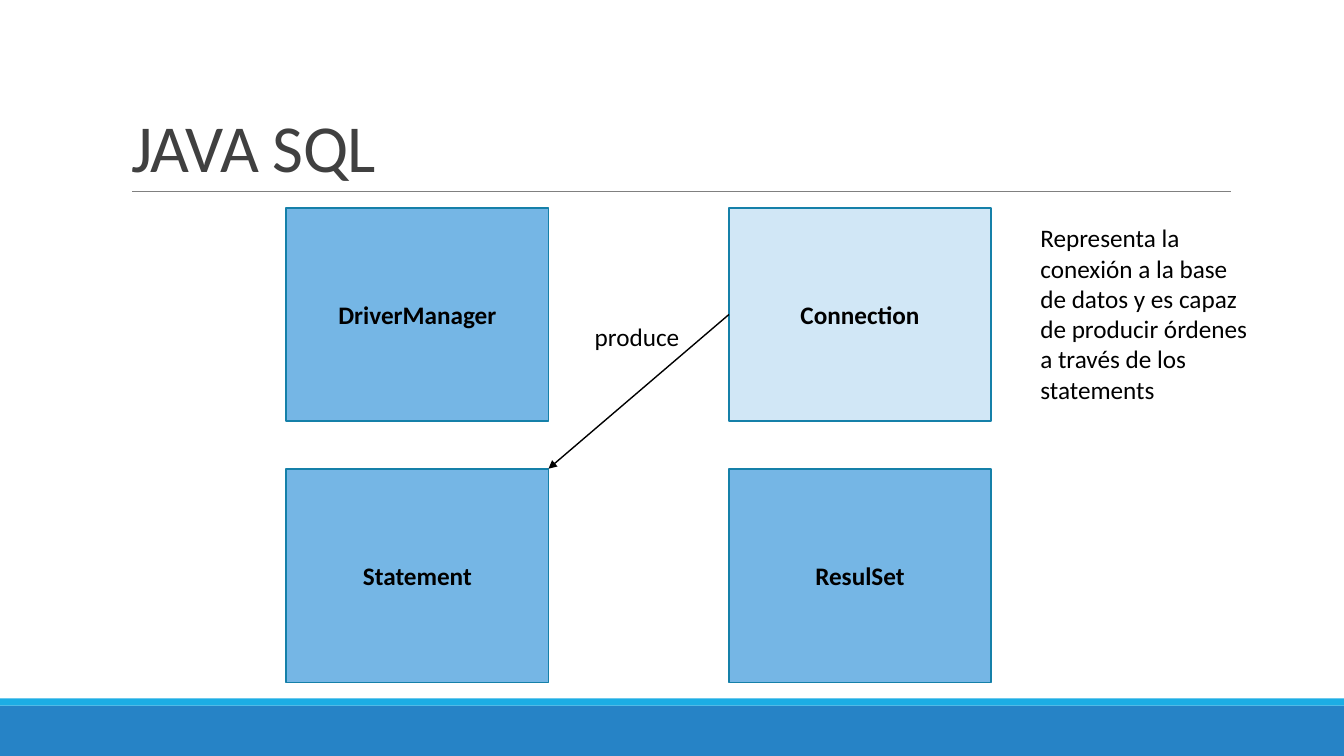
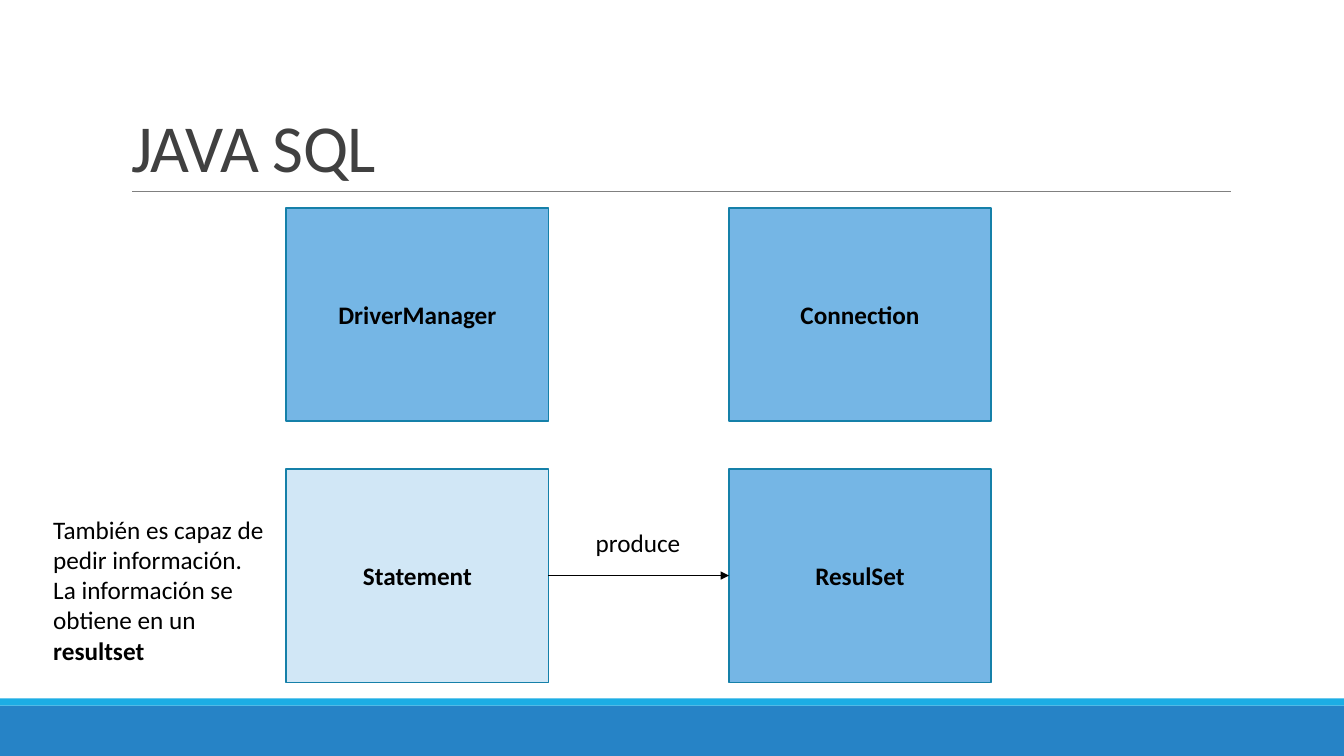
"""Builds two slides on the classes of Java SQL."""
from pptx import Presentation
from pptx.dml.color import RGBColor
from pptx.enum import shapes, text
from pptx.oxml import ns, xmlchemy
from pptx.util import Inches, Pt

BLACK = RGBColor(0x00, 0x00, 0x00)
TITLE_GREY = RGBColor(0x40, 0x40, 0x40)
RULE_GREY = RGBColor(0x80, 0x80, 0x80)
BAND_BLUE = RGBColor(0x26, 0x83, 0xC6)
STRIPE_BLUE = RGBColor(0x1C, 0xAD, 0xE4)
BOX_BLUE = RGBColor(0x75, 0xB6, 0xE5)
ACTIVE_BLUE = RGBColor(0xD1, 0xE7, 0xF6)
EDGE_BLUE = RGBColor(0x15, 0x80, 0xA9)

LEFT, RIGHT = 2.84, 7.23
TOP, BOTTOM = 2.06, 4.65
BOX_WIDTH, BOX_HEIGHT = 2.6, 2.12
CLASSES = {
    "DriverManager": (LEFT, TOP),
    "Connection": (RIGHT, TOP),
    "Statement": (LEFT, BOTTOM),
    "ResulSet": (RIGHT, BOTTOM),
}


class SlideBuilder:
    """Holds the style and the current slide."""

    font = "Calibri"
    size = 18

    def __init__(self):
        self.deck = Presentation()
        self.deck.slide_width = Inches(13.33)
        self.deck.slide_height = Inches(7.5)
        self.slide = None

    def add_span(self, para, words, bold=False, size=size, color=BLACK):
        span = para.add_run()
        span.text = words
        span.font.name = self.font
        span.font.size = Pt(size)
        span.font.bold = bold
        span.font.color.rgb = color
        return span

    def add_page(self, title):
        self.slide = self.deck.slides.add_slide(self.deck.slide_layouts[5])
        self.add_rectangle(0, 7, 13.33, 0.5, BAND_BLUE)
        self.add_rectangle(0, 6.93, 13.33, 0.07, STRIPE_BLUE)
        self.add_line((1.31, 1.9), (12.21, 1.9), RULE_GREY, 0.5)
        self.add_title(title)

    def add_title(self, words):
        box = self.slide.shapes.title
        box.left, box.top = Inches(1.2), Inches(0.31)
        box.width, box.height = Inches(11), Inches(1.59)
        frame = box.text_frame
        frame.auto_size = text.MSO_AUTO_SIZE.NONE
        frame.vertical_anchor = text.MSO_ANCHOR.BOTTOM
        para = frame.paragraphs[0]
        para.alignment = text.PP_ALIGN.LEFT
        para.line_spacing = 0.85
        span = self.add_span(para, words, size=48, color=TITLE_GREY)
        span.font._element.set("spc", "-50")

    def add_rectangle(self, left, top, width, height, fill):
        box = self.slide.shapes.add_shape(
            shapes.MSO_SHAPE.RECTANGLE,
            Inches(left), Inches(top), Inches(width), Inches(height))
        box.shadow.inherit = False
        box.fill.solid()
        box.fill.fore_color.rgb = fill
        box.line.fill.background()
        return box

    def add_class_box(self, name, left, top, fill):
        box = self.add_rectangle(left, top, BOX_WIDTH, BOX_HEIGHT, fill)
        box.line.color.rgb = EDGE_BLUE
        box.line.width = Pt(1.25)
        box.text_frame.vertical_anchor = text.MSO_ANCHOR.MIDDLE
        para = box.text_frame.paragraphs[0]
        para.alignment = text.PP_ALIGN.CENTER
        self.add_span(para, name, bold=True)

    def add_class_grid(self, active):
        for name, (left, top) in CLASSES.items():
            fill = ACTIVE_BLUE if name == active else BOX_BLUE
            self.add_class_box(name, left, top, fill)

    def add_text(self, left, top, width, height, words, bold_end="", wrap=True):
        box = self.slide.shapes.add_textbox(
            Inches(left), Inches(top), Inches(width), Inches(height))
        frame = box.text_frame
        frame.word_wrap = wrap
        frame.auto_size = text.MSO_AUTO_SIZE.SHAPE_TO_FIT_TEXT
        para = frame.paragraphs[0]
        self.add_span(para, words)
        if bold_end:
            self.add_span(para, bold_end, bold=True)

    def add_line(self, start, end, color, width):
        line = self.slide.shapes.add_connector(
            shapes.MSO_CONNECTOR.STRAIGHT,
            *(Inches(value) for value in (*start, *end)))
        line.line.color.rgb = color
        line.line.width = Pt(width)
        line._element.spPr.append(xmlchemy.OxmlElement("a:effectLst"))
        return line

    def add_arrow(self, start, end):
        arrow = self.add_line(start, end, BLACK, 1)
        head = xmlchemy.OxmlElement("a:tailEnd")
        head.set("type", "triangle")
        arrow._element.spPr.find(ns.qn("a:ln")).append(head)


builder = SlideBuilder()
left_edge = LEFT + BOX_WIDTH
half_height = BOX_HEIGHT / 2

builder.add_page("JAVA SQL")
builder.add_class_grid("Connection")
builder.add_text(
    10.22, 2.16, 2.3, 1.92,
    "Representa la conexión a la base de datos y es capaz de producir "
    "órdenes a través de los statements")
builder.add_arrow((RIGHT, TOP + half_height), (left_edge, BOTTOM))
builder.add_text(5.8, 3.14, 1.05, 0.4, "produce", wrap=False)

builder.add_page("JAVA SQL")
builder.add_class_grid("Statement")
builder.add_text(
    0.43, 5.05, 2.3, 1.62,
    "También es capaz de pedir información. La información se obtiene en un ",
    bold_end="resultset")
builder.add_arrow((left_edge, BOTTOM + half_height), (RIGHT, BOTTOM + half_height))
builder.add_text(5.81, 5.18, 1.05, 0.4, "produce", wrap=False)

builder.deck.save("out.pptx")
